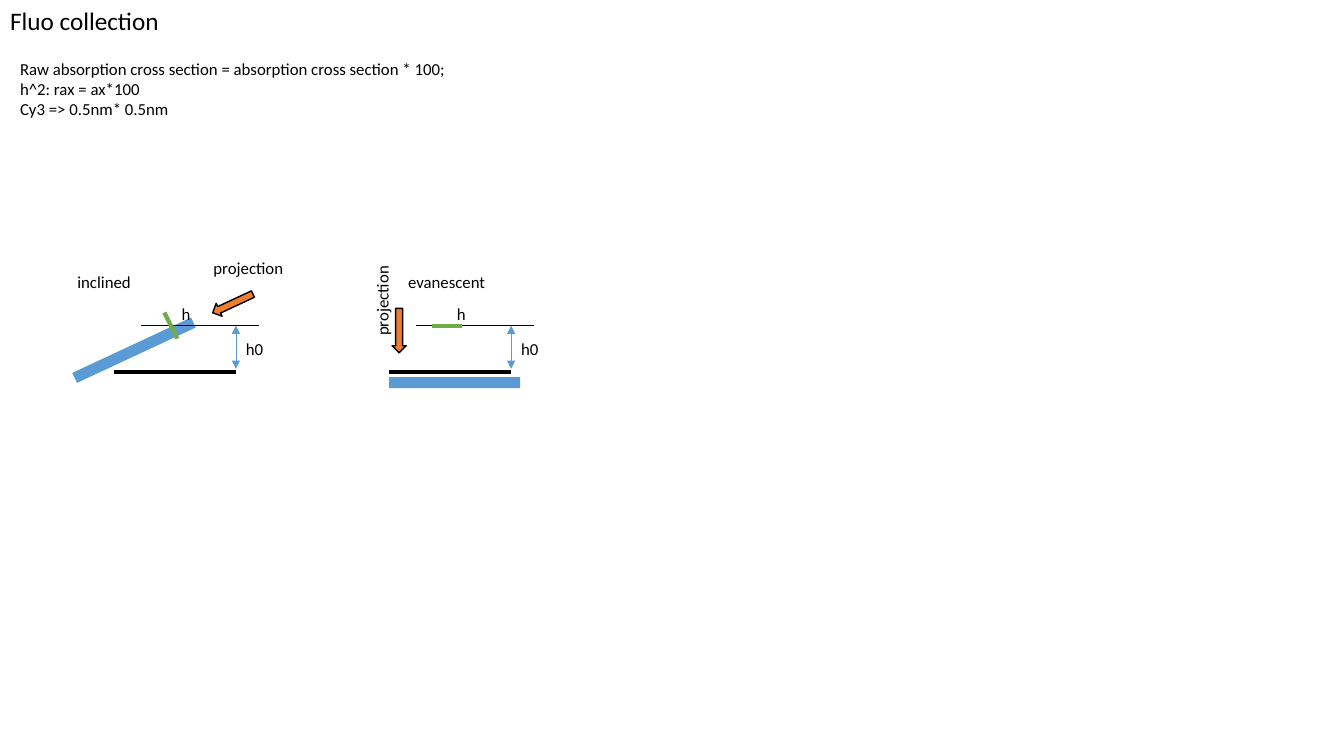
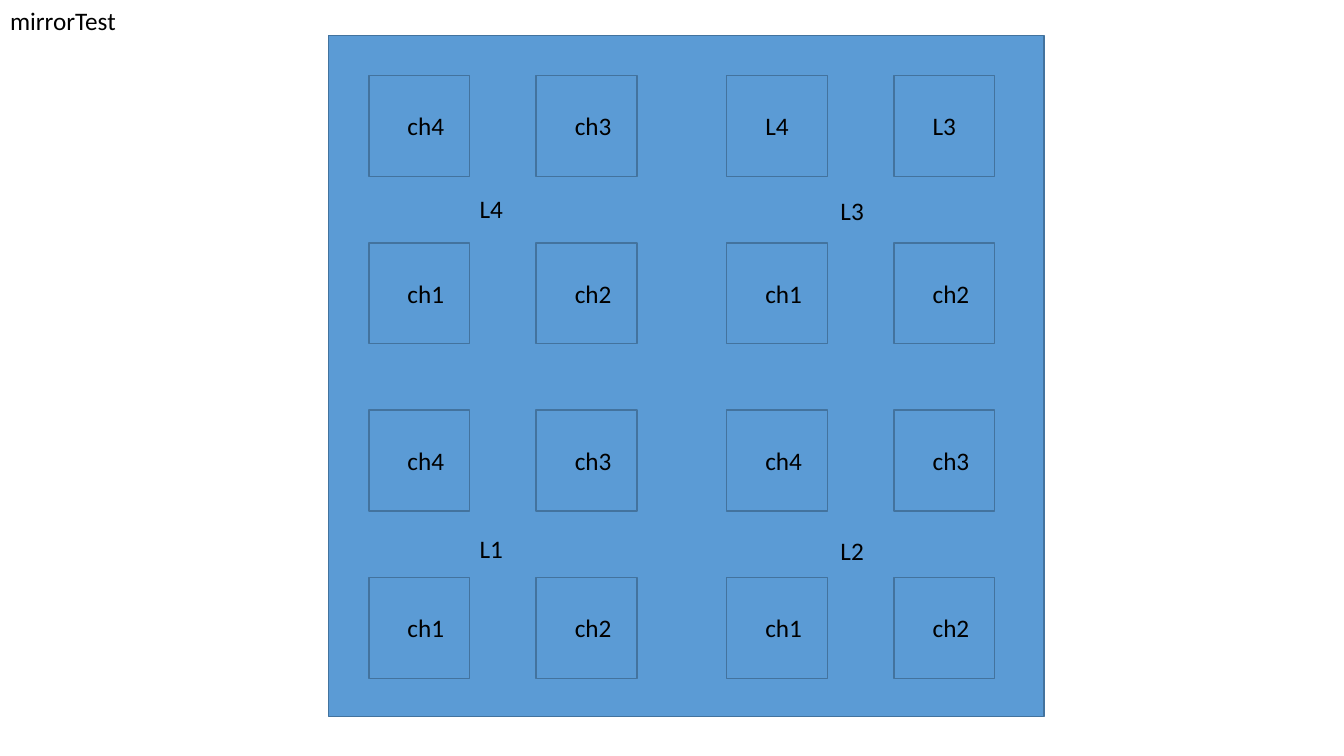
"""Build two slides: a fluorescence collection sketch and a mirror test grid."""
from dataclasses import dataclass
from pptx import Presentation
from pptx.dml.color import RGBColor as Rgb
from pptx.enum.shapes import MSO_CONNECTOR as Conn, MSO_SHAPE as Kind
from pptx.enum.text import MSO_ANCHOR as Anchor, MSO_AUTO_SIZE as Fit, PP_ALIGN as Align
from pptx.oxml.ns import qn
from pptx.util import Pt
from lxml.etree import SubElement


@dataclass(frozen=True)
class Theme:
    """Colours, font and type sizes."""
    ink: str = "000000"
    blue: str = "5B9BD5"
    edge: str = "43739E"
    green: str = "70AD47"
    orange: str = "ED7D31"
    font: str = "Calibri"
    big: int = 18
    small: int = 12


LOOK = Theme()
SIZE = (960, 540)

NOTES = [
    "Raw absorption cross section = absorption cross section * 100;",
    "h^2: rax = ax*100",
    "Cy3 => 0.5nm* 0.5nm",
]
MODES = [
    dict(name="inclined", spot=(48.2, 190.8, 53.3), shift=0,
         beam=(49, 246.2, 0), dye=(126.7, 241.9, 117.4, 223.2),
         arrow=(150.5, 211.7), tilt=335, word=(145.4, 180.7, 0)),
    dict(name="evanescent", spot=(284.4, 190.8, 70.6), shift=196.6,
         beam=(277.9, 269.3, 0), dye=(308.9, 232.6, 329.8, 232.6),
         arrow=(269.3, 231.1), tilt=270, word=(240.5, 203.8, 270)),
]
MODES[0]["beam"] = (49, 246.2, 335)

CELLS = [
    ["ch4", "ch3", "L4", "L3"],
    ["ch1", "ch2", "ch1", "ch2"],
    ["ch4", "ch3", "ch4", "ch3"],
    ["ch1", "ch2", "ch1", "ch2"],
]
ZONES = [("L4", 335.5, 134.6), ("L3", 593.3, 136.1),
         ("L1", 335.5, 377.3), ("L2", 593.3, 378.7)]
BOARD = (234.7, 25.2, 511.2, 486.7)
START, STEP, HALF, SIDE = (263.5, 54), 119.5, 255.6, 72
INSET, WIDE, SLIM = (20.5, 21.6), 41, 31.7


def place(shape, x, y, w, h):
    """Set the box of a shape."""
    shape.left, shape.top, shape.width, shape.height = map(Pt, (x, y, w, h))


def write(shape, text, size):
    """Fill a shape with plain left-aligned text."""
    frame = shape.text_frame
    frame.text = text
    frame.word_wrap = False
    frame.auto_size = Fit.SHAPE_TO_FIT_TEXT
    frame.vertical_anchor = Anchor.TOP
    frame.margin_left = frame.margin_right = Pt(7.2)
    frame.margin_top = frame.margin_bottom = Pt(3.6)
    for para in frame.paragraphs:
        para.alignment = Align.LEFT
        for run in para.runs:
            run.font.name, run.font.size = LOOK.font, Pt(size)
            run.font.color.rgb = Rgb.from_string(LOOK.ink)


def label(slide, text, x, y, w, h, size, turn=0):
    """Add a text box."""
    box = slide.shapes.add_textbox(*map(Pt, (x, y, w, h)))
    write(box, text, size)
    box.rotation = turn


def block(slide, kind, box, fill, edge=None, turn=0):
    """Add a filled shape, outlined if an edge colour is given."""
    shape = slide.shapes.add_shape(kind, *map(Pt, box))
    shape.shadow.inherit = False
    shape.rotation = turn
    shape.fill.solid()
    shape.fill.fore_color.rgb = Rgb.from_string(fill)
    if edge:
        shape.line.color.rgb = Rgb.from_string(edge)
        shape.line.width = Pt(1)
    else:
        shape.line.fill.background()


def rule(slide, ends, color, width, heads=False):
    """Add a straight line, with arrowheads at both ends if asked."""
    line = slide.shapes.add_connector(Conn.STRAIGHT, *map(Pt, ends))
    line.line.color.rgb = Rgb.from_string(color)
    line.line.width = Pt(width)
    props = line.element.spPr
    if heads:
        for tag in ("a:headEnd", "a:tailEnd"):
            SubElement(props.find(qn("a:ln")), qn(tag), type="triangle")
    SubElement(props, qn("a:effectLst"))


def begin(deck, title, width):
    """Add a slide with its title."""
    slide = deck.slides.add_slide(deck.slide_layouts[5])
    head = slide.shapes.title
    place(head, 0, 0, width, 28.8)
    write(head, title, LOOK.big)
    return slide


def sketch(slide, mode):
    """Draw one way of lighting the sample."""
    dx, level, base = mode["shift"], 232.6, 265.7
    x, y, turn = mode["beam"]
    block(slide, Kind.RECTANGLE, (x, y, 93.6, 7.9), LOOK.blue, turn=turn)
    right = 168.5 + dx
    rule(slide, (81.4 + dx, base, right, base), LOOK.ink, 3)
    rule(slide, (100.8 + dx, level, 185 + dx, level), LOOK.ink, 0.5)
    rule(slide, (right, level, right, 263.5), LOOK.blue, 0.5, True)
    rule(slide, mode["dye"], LOOK.green, 3)
    x, y, turn = mode["word"]
    for text, left, top, width, spin in [
        ("h0", right, 238.3, 27.4, 0),
        ("h", 122.6 + dx, 213.1, 20.9, 0),
        (mode["name"], *mode["spot"], 0),
        ("projection", x, y, 64.8, turn),
    ]:
        label(slide, text, left, top, width, 21.6, LOOK.small, spin)
    block(slide, Kind.LEFT_ARROW, (*mode["arrow"], 31.7, 10.1),
          LOOK.orange, LOOK.ink, mode["tilt"])


def grid(slide):
    """Draw the board with its named cells and zones."""
    block(slide, Kind.RECTANGLE, BOARD, LOOK.blue, LOOK.edge)
    for row, names in enumerate(CELLS):
        for col, name in enumerate(names):
            x = START[0] + col // 2 * HALF + col % 2 * STEP
            y = START[1] + row * STEP
            block(slide, Kind.RECTANGLE, (x, y, SIDE, SIDE), LOOK.blue, LOOK.edge)
            width = WIDE if name.startswith("ch") else SLIM
            label(slide, name, x + INSET[0], y + INSET[1], width, 28.8, LOOK.big)
    for name, x, y in ZONES:
        label(slide, name, x, y, SLIM, 28.8, LOOK.big)


def main():
    """Build and save the deck."""
    deck = Presentation()
    deck.slide_width, deck.slide_height = map(Pt, SIZE)
    slide = begin(deck, "Fluo collection", 122.4)
    label(slide, "\n".join(NOTES), 7.2, 38.2, 322.6, 51.1, LOOK.small)
    for mode in MODES:
        sketch(slide, mode)
    grid(begin(deck, "mirrorTest", 90.7))
    deck.save("out.pptx")


if __name__ == "__main__":
    main()
